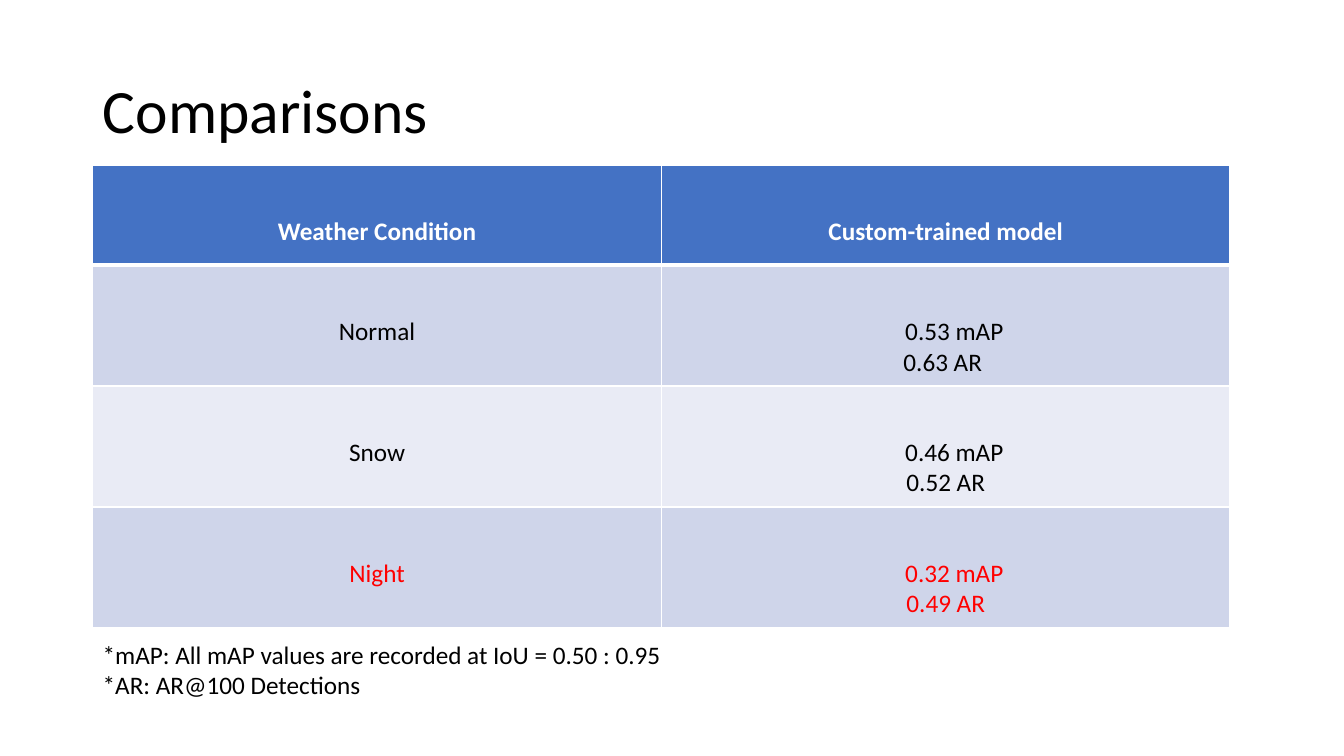
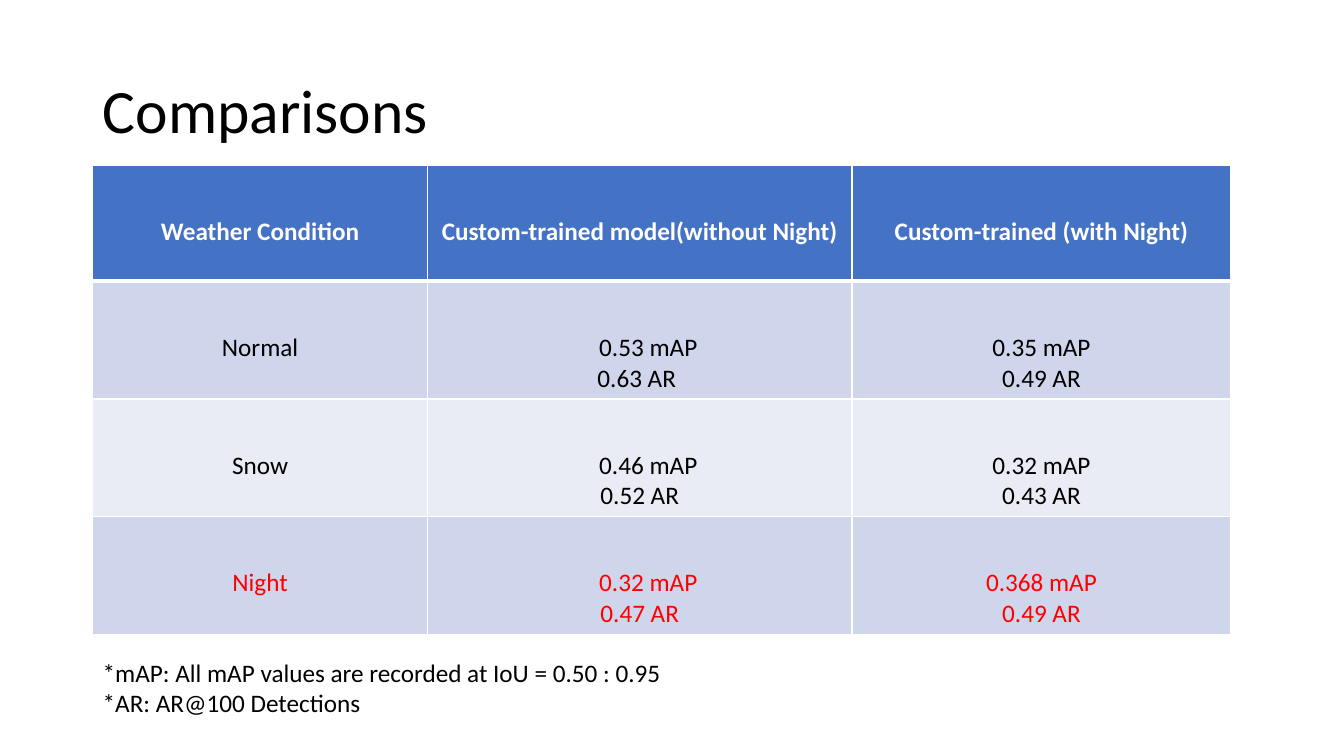
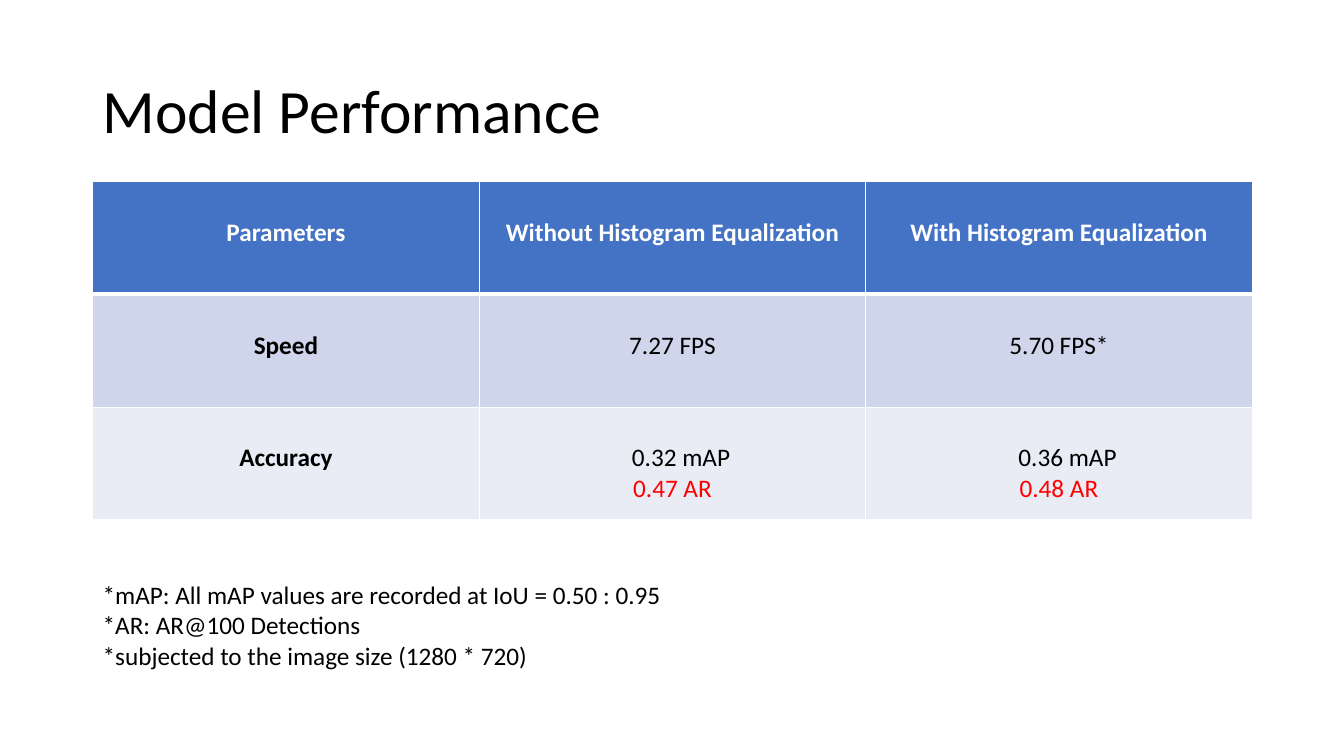
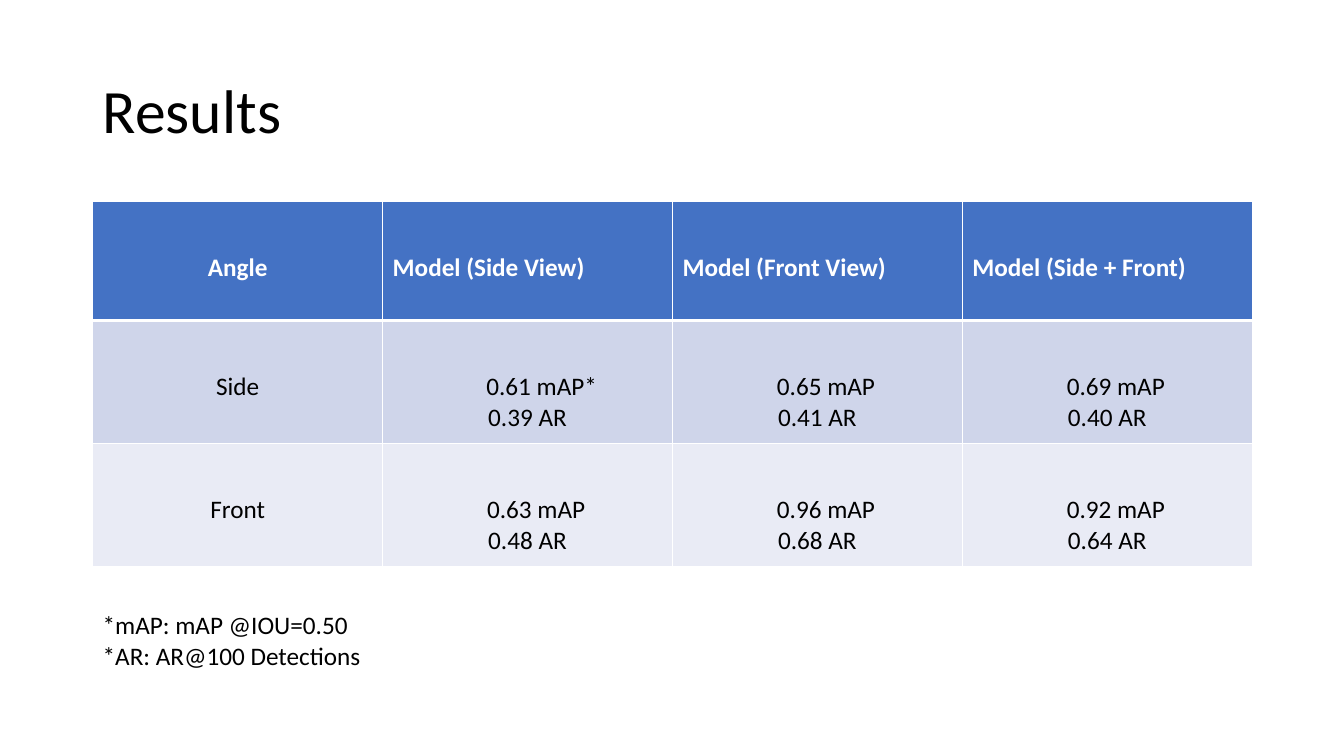
from lxml import etree
from pptx import Presentation
from pptx import util as u
from pptx.dml.color import RGBColor
from pptx.enum import text as t
from pptx.oxml.ns import qn

FONT = "Calibri"
COLORS = {"ink": "000000", "white": "FFFFFF", "red": "FF0000",
          "header": "4472C4", "band_dark": "CFD5EA", "band_light": "E9EBF5"}
WIDTH, HEIGHT = 13.33, 7.5
MARGIN, CONTENT_WIDTH = 0.92, 11.5
BODY_SIZE, TITLE_SIZE = 18, 44
NUDGE = 0.17


def line(words, **style):
    return {"words": words, **style}


def label(words, **style):
    return [line(words, **style)]


def metric(precision, recall, nudge=NUDGE, recall_nudge=0, color="ink", recall_color=None):
    return [line(precision, nudge=nudge, color=color),
            line(recall, nudge=recall_nudge, color=recall_color or color)]


AP_NOTE = "*mAP: All mAP values are recorded at IoU = 0.50 : 0.95"
AR_NOTE = "*AR: AR@100 Detections"

SLIDES = [
    {"title": "Comparisons", "top": 1.64, "columns": [5.64] * 2, "rows": [0.99] + [1.2] * 3,
     "spacing": 2.5, "notes_top": 6.29, "notes": [AP_NOTE, AR_NOTE],
     "header": [label("Weather Condition"), label("Custom-trained model")],
     "body": [
         [label("Normal"), metric("0.53 mAP", "0.63 AR", recall_nudge=-0.06)],
         [label("Snow"), metric("0.46 mAP", "0.52 AR")],
         [label("Night", color="red"), metric("0.32 mAP", "0.49 AR", color="red")]]},
    {"title": "Comparisons", "top": 1.64, "columns": [3.32, 4.21, 3.76], "rows": [1.15] * 4,
     "spacing": 2.5, "notes_top": 6.47, "notes": [AP_NOTE, AR_NOTE],
     "header": [label("Weather Condition"), label("Custom-trained model(without Night)"),
                label("Custom-trained (with Night)")],
     "body": [
         [label("Normal"), metric("0.53 mAP", "0.63 AR", recall_nudge=-0.06),
          metric("0.35 mAP", "0.49 AR", nudge=0)],
         [label("Snow"), metric("0.46 mAP", "0.52 AR"), metric("0.32 mAP", "0.43 AR", nudge=0)],
         [label("Night", color="red"), metric("0.32 mAP", "0.47 AR", color="red"),
          metric("0.368 mAP", "0.49 AR", nudge=0, color="red")]]},
    {"title": "Model Performance", "top": 1.8, "columns": [CONTENT_WIDTH / 3] * 3,
     "rows": [1.12] * 3, "spacing": 2, "notes_top": 5.7,
     "notes": [AP_NOTE, AR_NOTE, "*subjected to the image size (1280 * 720)"],
     "header": [label("Parameters"), label("Without Histogram Equalization"),
                label("With Histogram Equalization")],
     "body": [
         [label("Speed", bold=True), label("7.27 FPS"), label("5.70 FPS*")],
         [label("Accuracy", bold=True), metric("0.32 mAP", "0.47 AR", recall_color="red"),
          metric("0.36 mAP", "0.48 AR", recall_color="red")]]},
    {"title": "Results", "top": 2, "columns": [CONTENT_WIDTH / 4] * 4,
     "rows": [1.18, 1.22, 1.22], "spacing": 2.5, "notes_top": 6,
     "notes": ["*mAP: mAP @IOU=0.50", AR_NOTE],
     "header": [label("Angle")] + [label(f"Model ({view})", align="LEFT")
                                   for view in ("Side View", "Front View", "Side + Front")],
     "body": [
         [label("Side"), metric("0.61 mAP*", "0.39 AR", nudge=0.28),
          metric("0.65 mAP", "0.41 AR"), metric("0.69 mAP", "0.40 AR")],
         [label("Front"), metric("0.63 mAP", "0.48 AR"),
          metric("0.96 mAP", "0.68 AR"), metric("0.92 mAP", "0.64 AR")]]},
]


def write(paragraph, words, size=BODY_SIZE, color="ink", bold=False, align="LEFT",
          spacing=1.0, nudge=0):
    if nudge:
        side = "marL" if nudge > 0 else "marR"
        paragraph._p.get_or_add_pPr().set(side, str(u.Inches(abs(nudge))))
    paragraph.alignment = getattr(t.PP_ALIGN, align)
    paragraph.line_spacing = spacing
    run = paragraph.add_run()
    run.text = words
    run.font.name = FONT
    run.font.size = u.Pt(size)
    run.font.bold = bold
    run.font.color.rgb = RGBColor.from_string(COLORS[color])


def write_lines(frame, lines):
    for index, style in enumerate(lines):
        paragraph = frame.add_paragraph() if index else frame.paragraphs[0]
        write(paragraph, **style)


def set_borders(cell, top, bottom):
    properties = cell._tc.get_or_add_tcPr()
    for index, (side, width) in enumerate((("L", 1), ("R", 1), ("T", top), ("B", bottom))):
        border = etree.Element(qn(f"a:ln{side}"), w=str(u.Pt(width)))
        fill = etree.SubElement(border, qn("a:solidFill"))
        etree.SubElement(fill, qn("a:srgbClr"), val=COLORS["white"])
        properties.insert(index, border)


def add_title(slide, words):
    title = slide.shapes.title
    title.left, title.top = u.Inches(MARGIN), u.Inches(0.4)
    title.width, title.height = u.Inches(CONTENT_WIDTH), u.Inches(1.45)
    title.text_frame.vertical_anchor = t.MSO_ANCHOR.MIDDLE
    write(title.text_frame.paragraphs[0], words, size=TITLE_SIZE, spacing=0.9)


def add_comparison(slide, content):
    columns, rows = content["columns"], content["rows"]
    table = slide.shapes.add_table(
        len(rows), len(columns), u.Inches(MARGIN), u.Inches(content["top"]),
        u.Inches(sum(columns)), u.Inches(sum(rows))).table
    for column, width in zip(table.columns, columns):
        column.width = u.Inches(width)
    for row, height in zip(table.rows, rows):
        row.height = u.Inches(height)
    for row_index, cells in enumerate([content["header"]] + content["body"]):
        is_header = row_index == 0
        base = {"color": "white", "bold": True} if is_header else {}
        band = "header" if is_header else ("band_light", "band_dark")[row_index % 2]
        for column_index, lines in enumerate(cells):
            cell = table.cell(row_index, column_index)
            cell.fill.solid()
            cell.fill.fore_color.rgb = RGBColor.from_string(COLORS[band])
            set_borders(cell, 3 if row_index == 1 else 1, 3 if is_header else 1)
            write_lines(cell.text_frame, [
                {"align": "CENTER", "spacing": 1.0 if index else content["spacing"],
                 **base, **style} for index, style in enumerate(lines)])


def add_notes_box(slide, top, notes):
    box = slide.shapes.add_textbox(u.Inches(MARGIN), u.Inches(top), u.Inches(6.97),
                                   u.Inches(0.1 + 0.3 * len(notes)))
    box.text_frame.word_wrap = True
    box.text_frame.auto_size = t.MSO_AUTO_SIZE.SHAPE_TO_FIT_TEXT
    write_lines(box.text_frame, [line(note) for note in notes])


def main():
    presentation = Presentation()
    presentation.slide_width, presentation.slide_height = u.Inches(WIDTH), u.Inches(HEIGHT)
    for content in SLIDES:
        slide = presentation.slides.add_slide(presentation.slide_layouts[5])
        add_title(slide, content["title"])
        add_comparison(slide, content)
        add_notes_box(slide, content["notes_top"], content["notes"])
    presentation.save("out.pptx")


if __name__ == "__main__":
    main()
